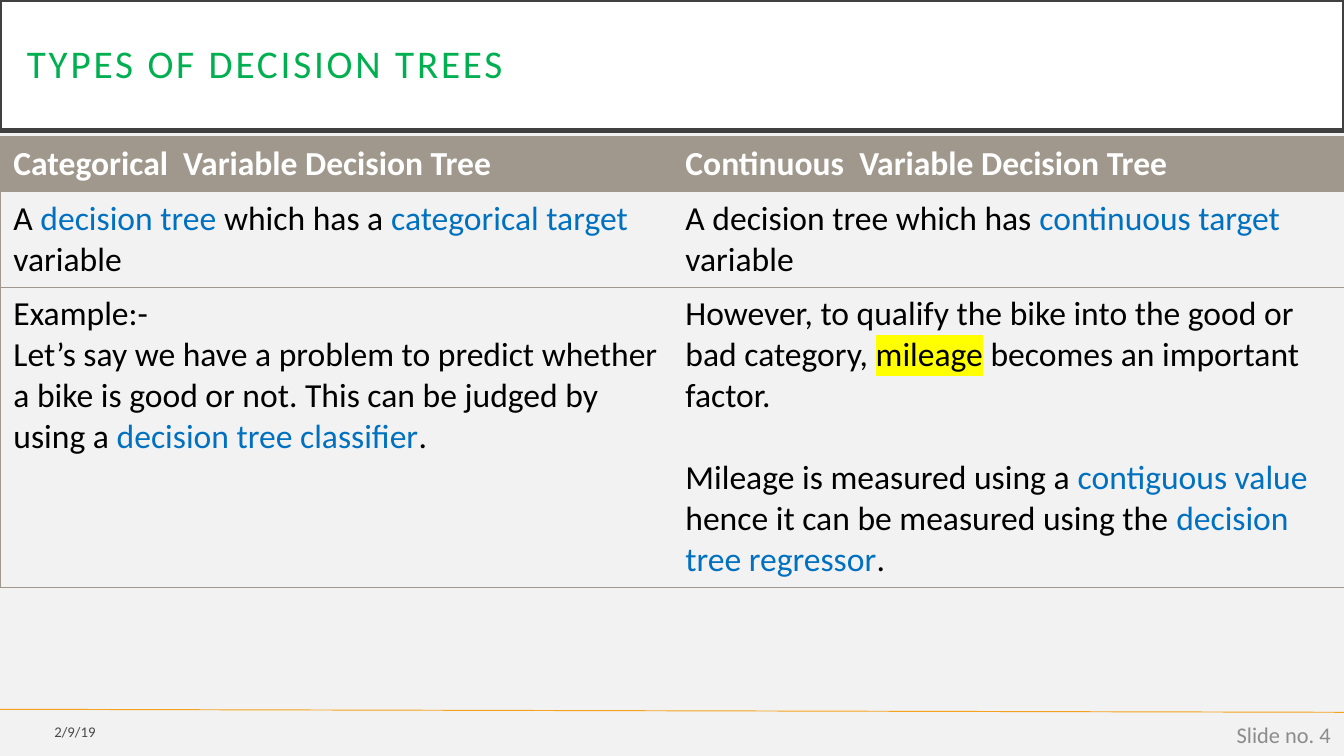
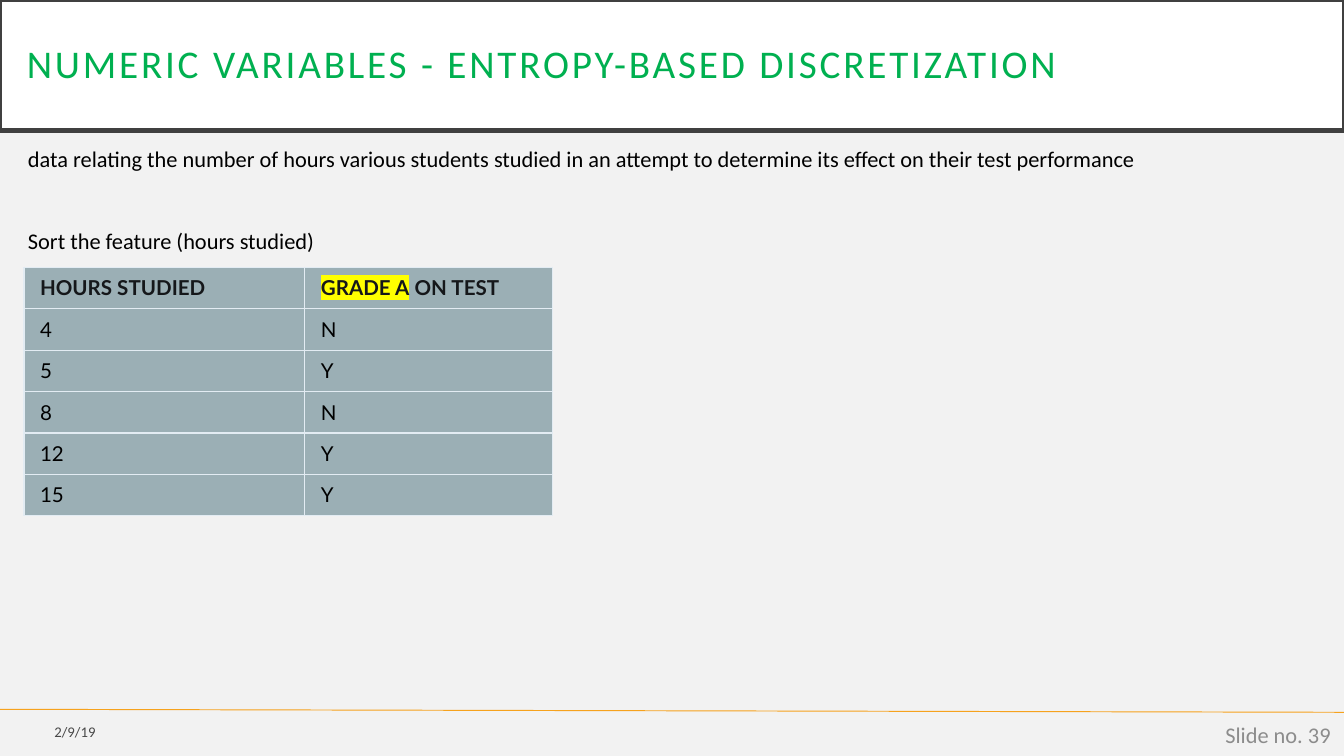
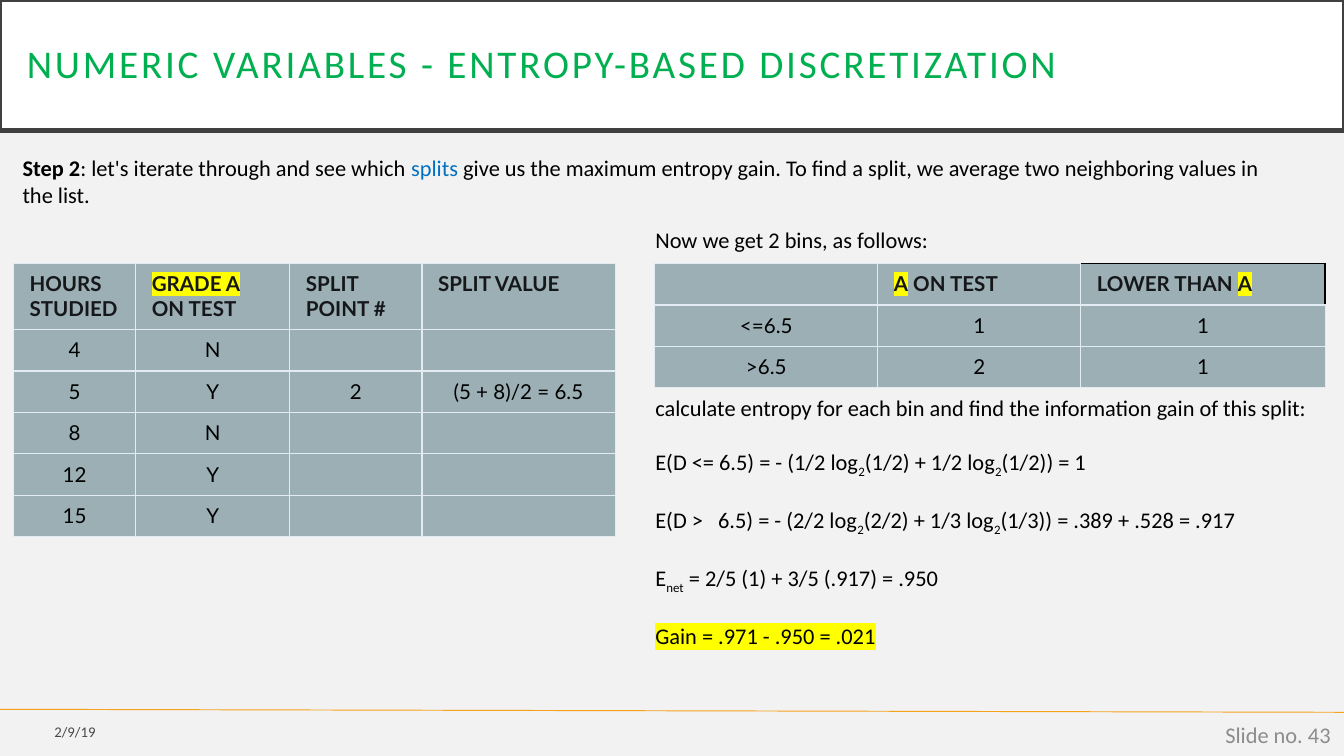
"""Build three slides on decision trees and entropy-based discretization."""
from dataclasses import dataclass
from typing import Any, NamedTuple, Optional, Union

from lxml import etree
from pptx import Presentation
from pptx import util as u
from pptx.dml.color import RGBColor
from pptx.enum import shapes, text
from pptx.oxml import ns

PAPER = RGBColor(0xF2, 0xF2, 0xF2)
WHITE = RGBColor(0xFF, 0xFF, 0xFF)
BLACK = RGBColor(0x00, 0x00, 0x00)
FRAME = RGBColor(0x40, 0x40, 0x40)
GREEN = RGBColor(0x00, 0xB0, 0x50)
BLUE = RGBColor(0x00, 0x70, 0xC0)
AMBER = RGBColor(0xF6, 0xA2, 0x1D)
GREY = RGBColor(0x8C, 0x8C, 0x8C)
TAUPE = RGBColor(0xA0, 0x98, 0x8C)
SLATE = RGBColor(0x9B, 0xAF, 0xB5)
MIST = RGBColor(0xE3, 0xEC, 0xF3)
DARK = RGBColor(0x15, 0x17, 0x1A)
YELLOW = RGBColor(0xFF, 0xFF, 0x00)

WIDE, HIGH = 720, 405
ROW = 22.2
GAP = 14.65
LEFT, MID, RIGHT = text.PP_ALIGN.LEFT, text.PP_ALIGN.CENTER, text.PP_ALIGN.RIGHT


class Bit(NamedTuple):
    """A run that differs from its paragraph."""
    txt: str
    ink: Optional[RGBColor] = None
    mark: bool = False
    bold: bool = False
    sub: bool = False


class Line(NamedTuple):
    """A paragraph with the gap above it."""
    bits: tuple[Union[str, Bit], ...]
    gap: float = 0


class Font(NamedTuple):
    """The look of a paragraph."""
    size: float
    ink: RGBColor = BLACK
    name: str = "Calibri"
    bold: bool = False
    align: Any = LEFT


class Box(NamedTuple):
    """A place on the slide."""
    x: float
    y: float
    w: float
    h: float


class Look(NamedTuple):
    """The look of a table."""
    head: Font
    body: Font
    top: RGBColor
    fill: Optional[RGBColor]
    rule: RGBColor
    wide: float
    inner: bool
    pad: tuple[float, float]


@dataclass
class Grid:
    """A table with its place and content."""
    x: float
    y: float
    cols: tuple[float, ...]
    rows: tuple[float, ...]
    cells: tuple[tuple[Any, ...], ...]
    look: Look


NOTE = Font(12)
DATE = Font(7.9, align=RIGHT)
PAGE = Font(12, GREY, align=RIGHT)
HEAD = Font(11, DARK, "Lato", True)
CELL = Font(11, name="Lato")
PLAIN = Look(Font(18, WHITE, bold=True), Font(18), TAUPE, None, TAUPE, 0.5, False, (7.2, 3.6))
LIST = Look(HEAD, CELL, SLATE, SLATE, MIST, 0.75, True, (8.64, 4.32))
DATA = LIST._replace(body=CELL._replace(align=MID))
GRADE = Line((Bit("GRADE A", mark=True), " ON TEST"))
LOG = Bit("2", sub=True)
MARKS = (("4", "N"), ("5", "Y"), ("8", "N"), ("12", "Y"), ("15", "Y"))


def tint(node: Any, tag: str, ink: RGBColor) -> Any:
    """Add a colour element below a node."""
    part = etree.SubElement(node, ns.qn(tag))
    return etree.SubElement(part, ns.qn("a:srgbClr"), val=str(ink))


def write(frame: Any, lines: tuple[Union[str, Line], ...], font: Font) -> None:
    """Fill a text frame with paragraphs."""
    frame.word_wrap = True
    for i, item in enumerate(lines):
        line = Line((item,)) if isinstance(item, str) else item
        para = frame.paragraphs[0] if i == 0 else frame.add_paragraph()
        para.alignment = font.align
        if line.gap:
            para.space_before = u.Pt(line.gap)
        para.font.size = u.Pt(font.size)
        para.font.name = font.name
        para.font.bold = font.bold
        para.font.color.rgb = font.ink
        for part in line.bits:
            bit = Bit(part) if isinstance(part, str) else part
            if bit.txt:
                add_run(para, bit)
            else:
                size = str(round(font.size * 100))
                etree.SubElement(para._p, ns.qn("a:endParaRPr"), sz=size)


def add_run(para: Any, bit: Bit) -> None:
    """Add one run with its own marks."""
    run = para.add_run()
    run.text = bit.txt
    if bit.bold:
        run.font.bold = True
    if bit.ink is not None:
        run.font.color.rgb = bit.ink
    props = run._r.get_or_add_rPr()
    if bit.mark:
        tint(props, "a:highlight", YELLOW)
    if bit.sub:
        props.set("baseline", "-25000")


def add_note(slide: Any, box: Box, lines: tuple[Union[str, Line], ...],
             font: Font = NOTE, anchor: Any = text.MSO_ANCHOR.TOP) -> Any:
    """Add a text box and return its frame."""
    frame = slide.shapes.add_textbox(*map(u.Pt, box)).text_frame
    frame.vertical_anchor = anchor
    write(frame, lines, font)
    return frame


def edge(cell: Any, side: str, ink: Optional[RGBColor], wide: float) -> None:
    """Set one border of a cell."""
    props = cell._tc.get_or_add_tcPr()
    tag = ns.qn("a:ln" + side)
    node = props.find(tag)
    if node is None:
        node = etree.Element(tag)
        props.insert("LRTB".index(side), node)
    for kid in list(node):
        node.remove(kid)
    node.set("w", str(u.Pt(wide)))
    if ink is None:
        etree.SubElement(node, ns.qn("a:noFill"))
    else:
        tint(node, "a:solidFill", ink)


def add_grid(slide: Any, grid: Grid) -> Any:
    """Draw a table and return it."""
    look = grid.look
    box = Box(grid.x, grid.y, sum(grid.cols), sum(grid.rows))
    table = slide.shapes.add_table(len(grid.rows), len(grid.cols), *map(u.Pt, box)).table
    table.first_row = table.horz_banding = False
    for col, wide in zip(table.columns, grid.cols):
        col.width = u.Pt(wide)
    last = len(grid.cols) - 1
    for r, (row, high) in enumerate(zip(table.rows, grid.rows)):
        row.height = u.Pt(high)
        for c, cell in enumerate(row.cells):
            cell.margin_left = cell.margin_right = u.Pt(look.pad[0])
            cell.margin_top = cell.margin_bottom = u.Pt(look.pad[1])
            fill = look.fill if r else look.top
            if fill is None:
                cell.fill.background()
            else:
                cell.fill.solid()
                cell.fill.fore_color.rgb = fill
            shown = {"L": look.inner or c == 0, "R": look.inner or c == last}
            for side in "LRTB":
                edge(cell, side, look.rule if shown.get(side, True) else None, look.wide)
            item = grid.cells[r][c]
            lines = item if type(item) is tuple else (item,)
            write(cell.text_frame, lines, look.body if r else look.head)
    return table


def add_slide(deck: Any, title: str, page: int) -> Any:
    """Add a slide with title band, footer line, date and number."""
    slide = deck.slides.add_slide(deck.slide_layouts[6])
    slide.background.fill.solid()
    slide.background.fill.fore_color.rgb = PAPER
    rule = slide.shapes.add_connector(
        shapes.MSO_CONNECTOR.STRAIGHT, *map(u.Pt, (0, 380, WIDE, 381.6)))
    rule.line.color.rgb = AMBER
    rule.line.width = u.Pt(0.5)
    etree.SubElement(rule._element.spPr, ns.qn("a:effectLst"))

    band = slide.shapes.add_shape(
        shapes.MSO_SHAPE.RECTANGLE, *map(u.Pt, Box(0, 0, WIDE, 70)))
    band.shadow.inherit = False
    band.fill.solid()
    band.fill.fore_color.rgb = WHITE
    band.line.color.rgb = FRAME
    band.line.width = u.Pt(2.5)
    frame = band.text_frame
    frame.margin_left = frame.margin_right = u.Pt(14.4)
    frame.margin_top = frame.margin_bottom = u.Pt(14.4)
    frame.vertical_anchor = text.MSO_ANCHOR.MIDDLE
    write(frame, (title,), Font(21, GREEN))
    para = frame.paragraphs[0]
    para.line_spacing = 0.9
    para.runs[0]._r.get_or_add_rPr().set("spc", "150")

    mid = text.MSO_ANCHOR.MIDDLE
    date = add_note(slide, Box(0, 382.3, 58.3, 19.4), ("2/9/19",), DATE, mid)
    for ink in date._txBody.iter(ns.qn("a:srgbClr")):
        etree.SubElement(ink, ns.qn("a:alpha"), val="70000")
    add_note(slide, Box(558, 383, 162, 21.6), (f"Slide no. {page}",), PAGE, mid)
    return slide


def add_types(deck: Any) -> None:
    """Build the slide that compares the two kinds of tree."""
    slide = add_slide(deck, "TYPES OF DECISION TREES", 4)
    cells = (
        ("Categorical  Variable Decision Tree", "Continuous  Variable Decision Tree"),
        (Line(("A ", Bit("decision tree ", BLUE), "which has a ",
               Bit("categorical target", BLUE), " variable")),
         Line(("A decision tree which has ", Bit("continuous target ", BLUE), "variable"))),
        (("Example:-",
          Line(("Let’s say we have a problem to predict whether a bike is good or not. "
                "This can be judged by using a ", Bit("decision tree classifier", BLUE), "."))),
         (Line(("However, to qualify the bike into the good or bad category, ",
                Bit("mileage", mark=True), " becomes an important factor.")),
          Line(("Mileage is measured using a ", Bit("contiguous value ", BLUE),
                "hence it can be measured using the ",
                Bit("decision tree regressor", BLUE), "."), 22))),
    )
    add_grid(slide, Grid(0, 73.2, (360, 360), (29.4, 51.2, 161), cells, PLAIN))


def add_sort(deck: Any, title: str) -> None:
    """Build the slide with the sorted feature."""
    slide = add_slide(deck, title, 39)
    cells = (("HOURS STUDIED", GRADE), *MARKS)
    add_grid(slide, Grid(12.8, 143.2, (150.5, 132.5), (ROW,) * 6, cells, LIST))
    add_note(slide, Box(7.9, 74.2, 662, 65.5), (
        "data relating the number of hours various students studied in an attempt "
        "to determine its effect on their test performance",
        Line(("Sort the feature (hours studied)",), 2 * GAP)))


def add_split(deck: Any, title: str) -> None:
    """Build the slide with the split and its gain."""
    slide = add_slide(deck, title, 43)
    add_note(slide, Box(5, 79.2, 686, 51), (
        Line((Bit("Step 2", bold=True), ": let's iterate through and see which ",
              Bit("splits", BLUE), " give us the maximum entropy gain. To find a split, "
              "we average two neighboring values in the list.")),))
    splits = {"5": ("2", "(5 + 8)/2 = 6.5")}
    cells = (("HOURS STUDIED", GRADE, "SPLIT POINT #", "SPLIT VALUE"),
             *(mark + splits.get(mark[0], ("", "")) for mark in MARKS))
    add_grid(slide, Grid(7.2, 141.2, (65.5, 82.6, 70.8, 103.5),
                         (35.4,) + (ROW,) * 5, cells, DATA))

    add_note(slide, Box(344, 117.4, 164, 21.6), ("Now we get 2 bins, as follows:",))
    bins = (("", Line((Bit("A", mark=True), " ON TEST")),
             Line(("LOWER THAN ", Bit("A", mark=True)))),
            ("<=6.5", "1", "1"), (">6.5", "2", "1"))
    table = add_grid(slide, Grid(350.8, 141.2, (119.5, 108.7, 131), (ROW,) * 3, bins, DATA))
    for side in "TR":
        edge(table.cell(0, 2), side, BLACK, 1)

    sums = (
        ("E(D <= 6.5) = - (1/2 log", LOG, "(1/2) + 1/2 log", LOG, "(1/2)) = 1"),
        ("E(D >   6.5) = - (2/2 log", LOG, "(2/2) + 1/3 log", LOG,
         "(1/3)) = .389 + .528 = .917"),
        ("E", Bit("net", sub=True), " = 2/5 (1) + 3/5 (.917) = .950"),
        (Bit("Gain = .971 - .950 = .021", mark=True),),
    )
    add_note(slide, Box(344, 207.6, 369.4, 152.6), (
        "calculate entropy for each bin and find the information gain of this split:",
        *(Line(bits, GAP) for bits in sums)))


def main() -> None:
    """Build and save the deck."""
    deck = Presentation()
    deck.slide_width, deck.slide_height = u.Pt(WIDE), u.Pt(HIGH)
    title = "NUMERIC VARIABLES - ENTROPY-BASED DISCRETIZATION"
    add_types(deck)
    add_sort(deck, title)
    add_split(deck, title)
    deck.save("out.pptx")


if __name__ == "__main__":
    main()
